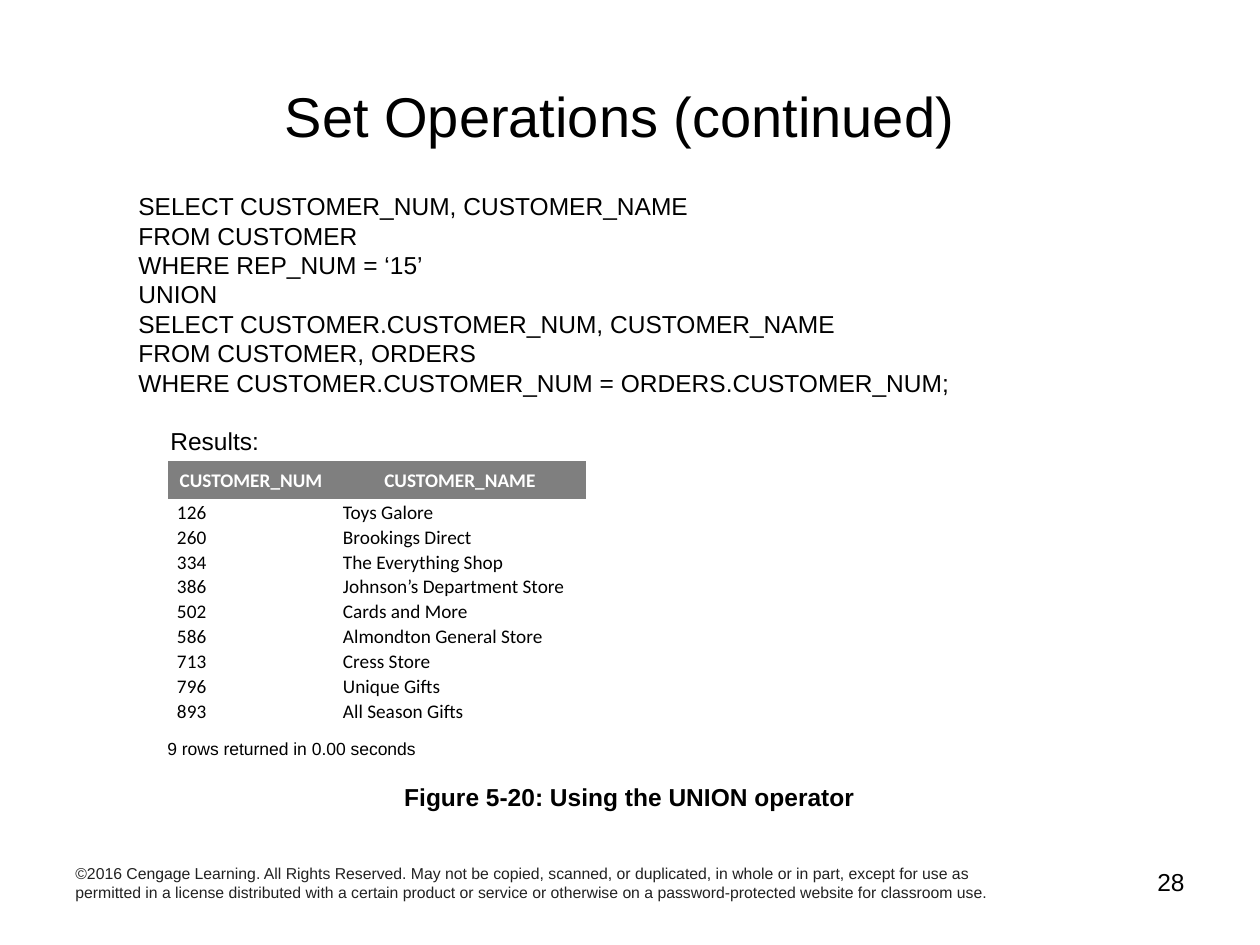
"""Build the slide on set operations with a UNION query and its results."""
from pptx import Presentation
from pptx.dml.color import RGBColor
from pptx.enum.text import MSO_ANCHOR, PP_ALIGN
from pptx.util import Pt

PX = 914400 // 126
LEFT, CENTER, RIGHT = PP_ALIGN.LEFT, PP_ALIGN.CENTER, PP_ALIGN.RIGHT
TOP, MIDDLE = MSO_ANCHOR.TOP, MSO_ANCHOR.MIDDLE
NO_GRID_STYLE = "{2D5ABB26-0587-4C30-8999-92F81FD0307C}"
COLORS = {"text": "000000", "notice": "222222", "header": "7F7F7F", "header text": "FFFFFF"}

QUERY = [
    "SELECT CUSTOMER_NUM, CUSTOMER_NAME",
    "FROM CUSTOMER",
    "WHERE REP_NUM = ‘15’",
    "UNION",
    "SELECT CUSTOMER.CUSTOMER_NUM, CUSTOMER_NAME",
    "FROM CUSTOMER, ORDERS",
    "WHERE CUSTOMER.CUSTOMER_NUM = ORDERS.CUSTOMER_NUM;",
]
NOTICE = (
    "©2016 Cengage Learning. All Rights Reserved. May not be copied, scanned, or duplicated, "
    "in whole or in part, except for use as permitted in a license distributed with a certain "
    "product or service or otherwise on a password-protected website for classroom use."
)
TEXTS = [
    {"lines": ["Set Operations (continued)"], "box": (53, 37, 1134, 157), "size": 32,
     "align": CENTER, "anchor": MIDDLE},
    {"lines": [NOTICE], "box": (63, 858, 955, 66), "size": 9, "color": "notice"},
    {"lines": ["28"], "box": (1050, 861, 147, 66), "size": 14, "align": RIGHT},
    {"lines": ["Figure 5-20: Using the UNION operator"], "box": (141, 776, 977, 43), "size": 14,
     "align": CENTER, "bold": True},
    {"lines": ["Results:"], "box": (158, 420, 115, 43), "size": 14, "wrap": False},
    {"lines": ["9 rows returned in 0.00 seconds"], "box": (155, 732, 275, 34), "size": 10,
     "wrap": False},
    {"lines": QUERY, "box": (126, 185, 1012, 251), "size": 14},
]
CUSTOMERS = [
    ("CUSTOMER_NUM", "CUSTOMER_NAME"),
    ("126", "Toys Galore"),
    ("260", "Brookings Direct"),
    ("334", "The Everything Shop"),
    ("386", "Johnson’s Department Store"),
    ("502", "Cards and More"),
    ("586", "Almondton General Store"),
    ("713", "Cress Store"),
    ("796", "Unique Gifts"),
    ("893", "All Season Gifts"),
]
TABLE_LEFT, TABLE_TOP = 168, 461
COLUMN_WIDTHS = (166, 252)
HEADER_HEIGHT, ROW_HEIGHT = 38, 25
CELL_FORMAT = {"vertical_anchor": MIDDLE, "margin_left": 9 * PX, "margin_right": 9 * PX,
               "margin_top": 0, "margin_bottom": 0}


def style(paragraph, align, color, **font_values):
    paragraph.alignment = align
    for name, value in font_values.items():
        setattr(paragraph.font, name, value)
    paragraph.font.color.rgb = RGBColor.from_string(COLORS[color])


def add_text(slide, lines, box, size, align=LEFT, anchor=TOP, color="text", bold=False, wrap=True):
    frame = slide.shapes.add_textbox(*(value * PX for value in box)).text_frame
    frame.word_wrap = wrap
    frame.vertical_anchor = anchor
    frame.text = "\n".join(lines)
    for paragraph in frame.paragraphs:
        style(paragraph, align, color, name="Arial", size=Pt(size), bold=bold)


def add_results(slide):
    heights = [HEADER_HEIGHT] + [ROW_HEIGHT] * (len(CUSTOMERS) - 1)
    area = (TABLE_LEFT, TABLE_TOP, sum(COLUMN_WIDTHS), sum(heights))
    table = slide.shapes.add_table(
        len(CUSTOMERS), len(COLUMN_WIDTHS), *(value * PX for value in area)).table
    table._tbl.tblPr[0].text = NO_GRID_STYLE
    table.horz_banding = False
    for column, width in zip(table.columns, COLUMN_WIDTHS):
        column.width = width * PX
    for index, (row, height, customer) in enumerate(zip(table.rows, heights, CUSTOMERS)):
        row.height = height * PX
        header = index == 0
        for cell, value in zip(row.cells, customer):
            cell.text = value
            for name, setting in CELL_FORMAT.items():
                setattr(cell, name, setting)
            if header:
                cell.fill.solid()
                cell.fill.fore_color.rgb = RGBColor.from_string(COLORS["header"])
            else:
                cell.fill.background()
            paragraph = cell.text_frame.paragraphs[0]
            paragraph.line_spacing = 1.07
            style(paragraph, CENTER if header else LEFT, "header text" if header else "text",
                  name="Calibri", size=Pt(11), bold=header)


def main():
    presentation = Presentation()
    presentation.slide_width, presentation.slide_height = 1260 * PX, 945 * PX
    slide = presentation.slides.add_slide(presentation.slide_layouts[6])
    for text in TEXTS:
        add_text(slide, **text)
    add_results(slide)
    presentation.save("out.pptx")


if __name__ == "__main__":
    main()
